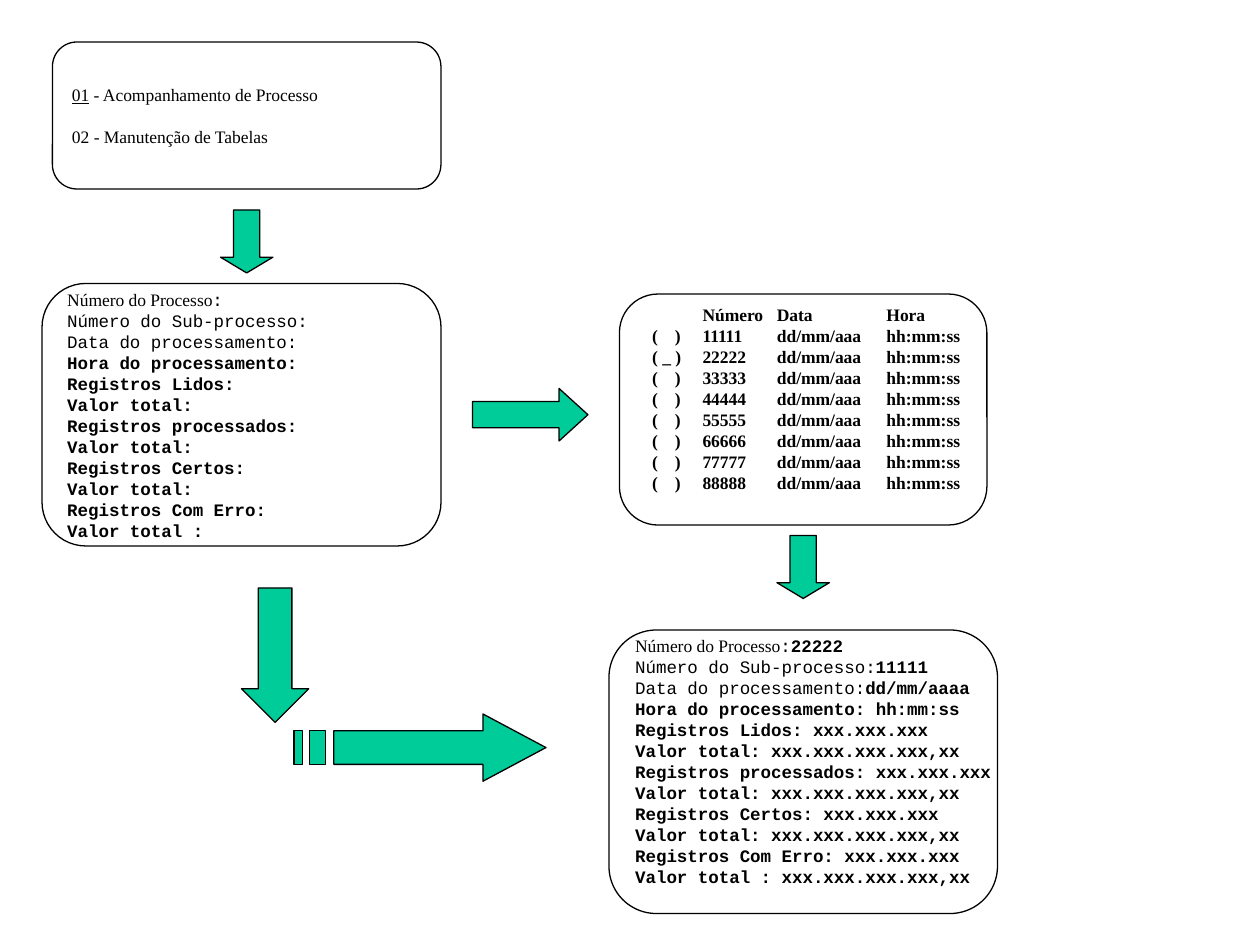
from lxml.etree import SubElement
from pptx import Presentation
from pptx.dml.color import RGBColor
from pptx.enum.shapes import MSO_SHAPE
from pptx.enum.text import MSO_ANCHOR, PP_ALIGN
from pptx.oxml.ns import qn
from pptx.util import Inches, Pt

BLACK = RGBColor(0x00, 0x00, 0x00)
WHITE = RGBColor(0xFF, 0xFF, 0xFF)
GREEN = RGBColor(0x00, 0xCC, 0x99)
SERIF, MONO = "Times New Roman", "Courier New"

prs = Presentation()
prs.slide_width, prs.slide_height = Inches(10), Inches(7.5)
s = prs.slides.add_slide(prs.slide_layouts[6])
UNIT = prs.slide_width // 120  # grid of 120 columns by 90 rows


def style(sp, fill):
    sp.shadow.inherit = False
    sp.fill.solid()
    sp.fill.fore_color.rgb = fill
    sp.line.color.rgb = BLACK
    sp.line.width = Pt(0.75)


def add_panel(col, row, cols, rows, lines, bottom=0.05):
    """Each line is a list of (text, font name, bold) runs."""
    sp = s.shapes.add_shape(MSO_SHAPE.FLOWCHART_ALTERNATE_PROCESS,
                            *(int(n * UNIT) for n in (col, row, cols, rows)))
    style(sp, WHITE)
    tf = sp.text_frame
    tf.word_wrap = False
    tf.vertical_anchor = MSO_ANCHOR.MIDDLE
    tf.margin_bottom = Inches(bottom)
    for i, line in enumerate(lines):
        p = tf.paragraphs[0] if i == 0 else tf.add_paragraph()
        p.alignment = PP_ALIGN.LEFT
        for text, name, bold in line:
            r = p.add_run()
            r.text = text
            r.font.name, r.font.bold = name, bold
            r.font.size = Pt(10)
            r.font.color.rgb = BLACK
    return tf


# Menu panel
menu = add_panel(5, 4, 37, 14, [
    [("01", SERIF, False), (" - Acompanhamento de Processo", SERIF, False)],
    [("02 - Manutenção de Tabelas", SERIF, False)],
])
menu.paragraphs[0].runs[0].font.underline = True
menu.paragraphs[1].space_before = Pt(12)

# Process form, empty and filled in
labels = ["Número do Processo", "Número do Sub-processo:", "Data do processamento:",
          "Hora do processamento:", "Registros Lidos:", "Valor total:",
          "Registros processados:", "Valor total:", "Registros Certos:",
          "Valor total:", "Registros Com Erro:", "Valor total :"]
values = ["22222", "11111", "dd/mm/aaaa", " hh:mm:ss"]
values += [" xxx.xxx.xxx", " xxx.xxx.xxx.xxx,xx"] * 4
form = [[(label, MONO, i > 2)] for i, label in enumerate(labels)]
form[0] = [(labels[0], SERIF, False), (":", MONO, False)]
filled = [line + [(value, MONO, True)] for line, value in zip(form, values)]
add_panel(4, 27, 38, 25, form)
add_panel(58, 60, 37, 27, filled, bottom=0.22)

# Process list, aligned by tab stops
rows = ["\t\tNúmero\tData\tHora"]
for digit in "12345678":
    mark = "( _ )" if digit == "2" else "(\t)"
    rows.append(f"{mark}\t{digit * 5}\tdd/mm/aaa\thh:mm:ss")
listing = add_panel(59, 28, 35, 22, [[(row, SERIF, True)] for row in rows], bottom=0.22)
listing.margin_left = Inches(0.17)
for p in listing.paragraphs:
    tabs = SubElement(p._p.get_or_add_pPr(), qn("a:tabLst"))
    for stop in (0.18, 0.4, 0.99, 1.86):
        SubElement(tabs, qn("a:tab"), pos=str(Inches(stop)), algn="l")

# Block arrows
for kind, box, head in [
    (MSO_SHAPE.DOWN_ARROW, (21, 20, 5, 6), 0.3),
    (MSO_SHAPE.RIGHT_ARROW, (45, 37, 11, 5), 0.55),
    (MSO_SHAPE.DOWN_ARROW, (74, 51, 5, 6), 0.3),
    (MSO_SHAPE.DOWN_ARROW, (23, 56, 6.4, 12.8), 0.5),
]:
    arrow = s.shapes.add_shape(kind, *(int(n * UNIT) for n in box))
    arrow.adjustments[0], arrow.adjustments[1] = 0.5, head
    style(arrow, GREEN)

# Striped arrow: the arrow body and two stripes
top, bottom = 69.6, 72.8
outlines = [[(31.8, top), (46, top), (46, 68), (52, 71.2), (46, 74.4),
             (46, bottom), (31.8, bottom)]]
outlines += [[(a, top), (b, top), (b, bottom), (a, bottom)]
             for a, b in ((28, 28.8), (29.5, 31))]
builder = None
for outline in outlines:
    start, *rest = [(int(x * UNIT), int(y * UNIT)) for x, y in outline]
    if builder is None:
        builder = s.shapes.build_freeform(*start)
    else:
        builder.move_to(*start)
    builder.add_line_segments(rest, close=True)
style(builder.convert_to_shape(), GREEN)

prs.save("out.pptx")
